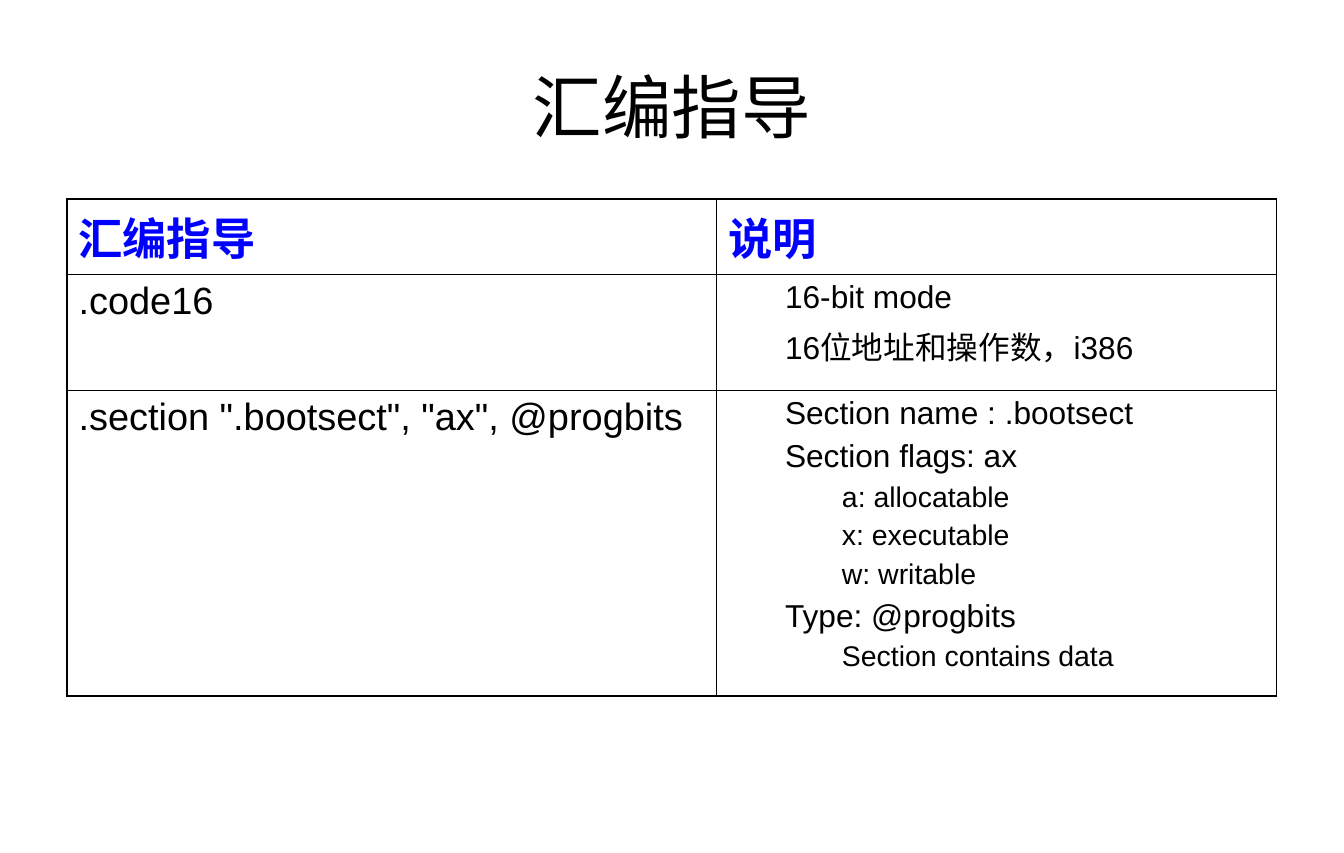
from lxml import etree
from pptx import Presentation
from pptx.dml.color import RGBColor
from pptx.enum import text
from pptx.oxml import ns
from pptx.util import Inches, Pt

BLACK = RGBColor(0, 0, 0)
BLUE = RGBColor(0, 0, 255)
OUTER, INNER = Pt(1.08), Pt(0.45)
LEFT, WIDTH = Inches(0.59), Inches(10.63)

HEADER, DIRECTIVE, NOTE, DETAIL = "header", "directive", "note", "detail"
STYLES = {
    HEADER: (28, BLUE, True, 0, 7),
    DIRECTIVE: (24, BLACK, False, 0, 6),
    NOTE: (20, BLACK, False, 1, 5),
    DETAIL: (18, BLACK, False, 2, 4.5),
}
ROWS = [
    [[(HEADER, "汇编指导")], [(HEADER, "说明")]],
    [[(DIRECTIVE, ".code16")],
     [(NOTE, "16-bit mode"), (NOTE, "16位地址和操作数，i386")]],
    [[(DIRECTIVE, '.section ".bootsect", "ax", @progbits')],
     [(NOTE, "Section name : .bootsect"),
      (NOTE, "Section flags: ax"),
      (DETAIL, "a: allocatable"),
      (DETAIL, "x: executable"),
      (DETAIL, "w: writable"),
      (NOTE, "Type: @progbits"),
      (DETAIL, "Section contains data")]],
]
COL_WIDTHS = [5.71, 4.92]
ROW_HEIGHTS = [0.66, 1.02, 2.69]


def set_font(p, size, color, bold=False):
    p.font.name = "Arial"
    p.font.size = Pt(size)
    p.font.bold = bold
    p.font.color.rgb = color


def add_borders(cell, widths):
    tcPr = cell._tc.get_or_add_tcPr()
    for i, (side, width) in enumerate(widths.items()):
        ln = etree.Element(ns.qn(f"a:ln{side}"), w=str(width))
        fill = etree.SubElement(ln, ns.qn("a:solidFill"))
        etree.SubElement(fill, ns.qn("a:srgbClr"), val=str(BLACK))
        tcPr.insert(i, ln)


prs = Presentation()
prs.slide_width = Inches(189 / 16)
prs.slide_height = Inches(7.5)
s = prs.slides.add_slide(prs.slide_layouts[6])

title = s.shapes.add_textbox(LEFT, Inches(0.3), WIDTH, Inches(1.25))
tf = title.text_frame
tf.word_wrap = True
tf.vertical_anchor = text.MSO_ANCHOR.MIDDLE
p = tf.paragraphs[0]
p.text = "汇编指导"
p.alignment = text.PP_ALIGN.CENTER
set_font(p, 44, BLACK)

table = s.shapes.add_table(len(ROWS), len(COL_WIDTHS), LEFT, Inches(1.75),
                           WIDTH, Inches(sum(ROW_HEIGHTS))).table
table.first_row = table.horz_banding = False
for col, width in zip(table.columns, COL_WIDTHS):
    col.width = Inches(width)
for row, height in zip(table.rows, ROW_HEIGHTS):
    row.height = Inches(height)

for r, row in enumerate(ROWS):
    for c, lines in enumerate(row):
        cell = table.cell(r, c)
        cell.fill.background()
        add_borders(cell, {
            "L": OUTER if c == 0 else INNER,
            "R": OUTER if c == len(row) - 1 else INNER,
            "T": OUTER if r == 0 else INNER,
            "B": OUTER if r == len(ROWS) - 1 else INNER,
        })
        tf = cell.text_frame
        for i, (style, line) in enumerate(lines):
            size, color, bold, level, space = STYLES[style]
            p = tf.add_paragraph() if i else tf.paragraphs[0]
            p.text = line
            p.level = level
            pPr = p._p.get_or_add_pPr()
            pPr.set("marL", str(Inches(0.5 * level)))
            pPr.set("indent", "0")
            if i:
                p.space_before = Pt(space)
            set_font(p, size, color, bold)

prs.save("out.pptx")
